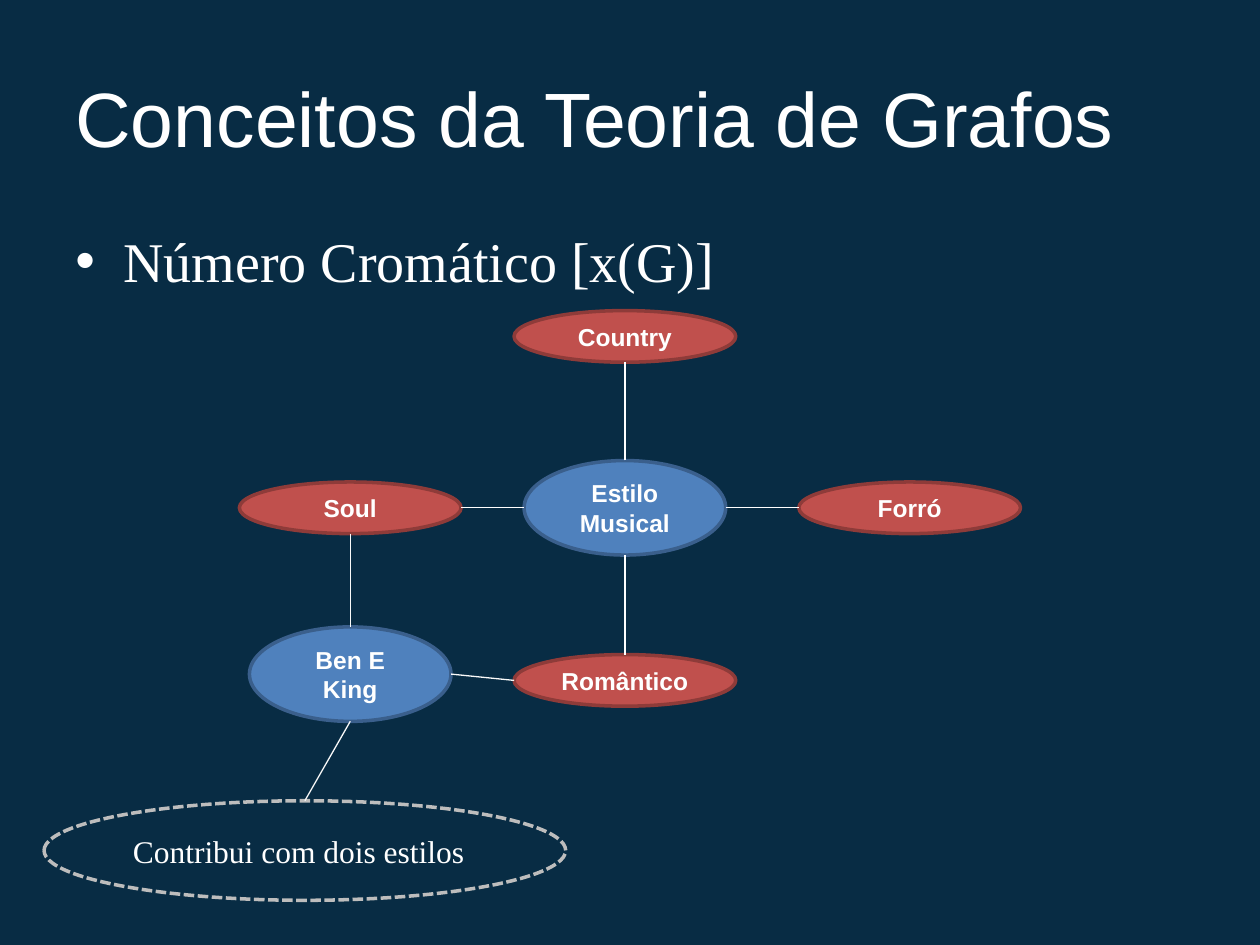
from dataclasses import dataclass
from typing import Optional

from lxml.etree import SubElement
from pptx import Presentation
from pptx.dml.color import RGBColor
from pptx.enum.dml import MSO_LINE
from pptx.enum.shapes import MSO_CONNECTOR, MSO_SHAPE
from pptx.enum.text import MSO_ANCHOR, PP_ALIGN
from pptx.oxml.ns import qn
from pptx.util import Inches, Pt

WIDTH, HEIGHT = 10, 7.5
MARGIN = 0.05 * WIDTH
COLUMNS = {"soul": 2.78, "style": 4.96, "forro": 7.22, "note": 2.42}
ROWS = {"country": 2.67, "style": 4.03, "artist": 5.35, "romantic": 5.4, "note": 6.75}
COLORS = {
    "background": "082C44",
    "text": "FFFFFF",
    "edge": "FFFFFF",
    "artist_edge": "F9F9F9",
    "blue": "4F81BD",
    "blue_border": "3A5F8C",
    "red": "C0504D",
    "red_border": "8E3B39",
    "note_border": "BDBDBD",
}


@dataclass(frozen=True)
class Kind:
    width: float
    height: float
    border: str
    fill: Optional[str] = None
    size: int = 14
    font: str = "Arial"
    bold: bool = True
    align: PP_ALIGN = PP_ALIGN.CENTER


@dataclass(frozen=True)
class Node:
    label: str
    column: str
    row: str
    kind: Kind

    def side(self, name: str) -> tuple[float, float]:
        dx, dy = {"left": (-1, 0), "right": (1, 0), "top": (0, -1), "bottom": (0, 1)}[name]
        return (
            COLUMNS[self.column] + dx * self.kind.width / 2,
            ROWS[self.row] + dy * self.kind.height / 2,
        )


@dataclass(frozen=True)
class Edge:
    start: Node
    start_side: str
    end: Node
    end_side: str
    color: str = "edge"


HUB = Kind(1.6, 0.75, "blue_border", "blue")
GENRE = Kind(1.76, 0.41, "red_border", "red")
NOTE = Kind(4.14, 0.79, "note_border", size=18, font="Times New Roman", bold=False, align=PP_ALIGN.LEFT)

note = Node("Contribui com dois estilos", "note", "note", NOTE)
style = Node("Estilo Musical", "style", "style", HUB)
soul = Node("Soul", "soul", "style", GENRE)
forro = Node("Forró", "forro", "style", GENRE)
country = Node("Country", "style", "country", GENRE)
romantic = Node("Romântico", "style", "romantic", GENRE)
artist = Node("Ben E King", "soul", "artist", HUB)

NODES = [note, style, soul, forro, country, romantic, artist]
EDGES = [
    Edge(soul, "right", style, "left"),
    Edge(romantic, "top", style, "bottom"),
    Edge(style, "right", forro, "left"),
    Edge(style, "top", country, "bottom"),
    Edge(soul, "bottom", artist, "top", "artist_edge"),
    Edge(artist, "right", romantic, "left", "artist_edge"),
    Edge(note, "top", artist, "bottom", "artist_edge"),
]


def rgb(name: str) -> RGBColor:
    return RGBColor.from_string(COLORS[name])


def write(frame, text: str, *, size: int, font: str, bold: bool = False,
          align: PP_ALIGN = PP_ALIGN.LEFT, anchor: MSO_ANCHOR = MSO_ANCHOR.MIDDLE,
          bullet: bool = False) -> None:
    frame.word_wrap = True
    frame.vertical_anchor = anchor
    paragraph = frame.paragraphs[0]
    paragraph.alignment = align
    run = paragraph.add_run()
    run.text = text
    run.font.size = Pt(size)
    run.font.name = font
    run.font.bold = bold
    run.font.color.rgb = rgb("text")
    if bullet:
        paragraph.space_before = Pt(5)
        properties = paragraph._p.get_or_add_pPr()
        properties.set("marL", str(Inches(0.38)))
        properties.set("indent", str(-Inches(0.38)))
        SubElement(properties, qn("a:buFont"), typeface="Arial")
        SubElement(properties, qn("a:buChar"), char="•")


def add_text(slide, top: float, height: float, text: str, **style_options) -> None:
    box = slide.shapes.add_textbox(
        Inches(MARGIN), Inches(top), Inches(WIDTH - 2 * MARGIN), Inches(height)
    )
    write(box.text_frame, text, **style_options)


def add_node(slide, node: Node) -> None:
    kind = node.kind
    oval = slide.shapes.add_shape(
        MSO_SHAPE.OVAL,
        Inches(node.side("left")[0]), Inches(node.side("top")[1]),
        Inches(kind.width), Inches(kind.height),
    )
    oval.shadow.inherit = False
    oval.line.color.rgb = rgb(kind.border)
    oval.line.width = Pt(2)
    if kind.fill:
        oval.fill.solid()
        oval.fill.fore_color.rgb = rgb(kind.fill)
    else:
        oval.fill.background()
        oval.line.dash_style = MSO_LINE.SQUARE_DOT
    write(oval.text_frame, node.label, size=kind.size, font=kind.font,
          bold=kind.bold, align=kind.align)


def add_edge(slide, edge: Edge) -> None:
    points = edge.start.side(edge.start_side) + edge.end.side(edge.end_side)
    line = slide.shapes.add_connector(MSO_CONNECTOR.STRAIGHT, *map(Inches, points))
    line.line.color.rgb = rgb(edge.color)
    line.line.width = Pt(0.75)
    SubElement(line._element.spPr, qn("a:effectLst"))


def main() -> None:
    presentation = Presentation()
    presentation.slide_width = Inches(WIDTH)
    presentation.slide_height = Inches(HEIGHT)
    slide = presentation.slides.add_slide(presentation.slide_layouts[6])
    slide.background.fill.solid()
    slide.background.fill.fore_color.rgb = rgb("background")
    add_text(slide, 0.04 * HEIGHT, 1.25, "Conceitos da Teoria de Grafos", size=44, font="Arial")
    add_text(slide, 1.75, 4.95, "Número Cromático [x(G)]", size=32,
             font="Times New Roman", anchor=MSO_ANCHOR.TOP, bullet=True)
    for node in NODES:
        add_node(slide, node)
    for edge in EDGES:
        add_edge(slide, edge)
    presentation.save("out.pptx")


if __name__ == "__main__":
    main()
